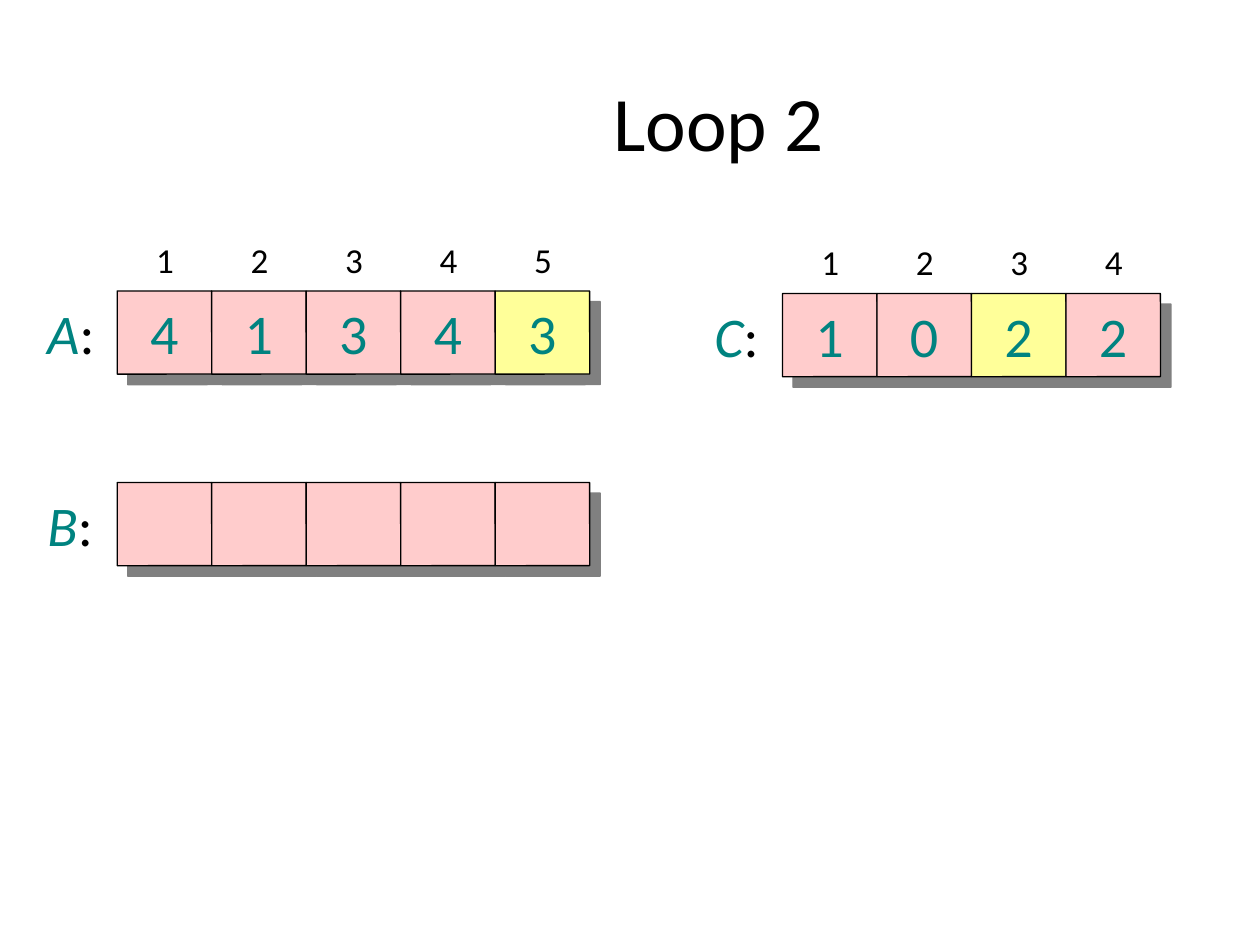
from lxml import etree
from pptx import Presentation
from pptx.dml.color import RGBColor
from pptx.enum import shapes, text
from pptx.oxml import ns
from pptx.util import Inches, Pt

BLACK = RGBColor(0, 0, 0)
TEAL = RGBColor(0x00, 0x83, 0x80)
PINK = RGBColor(0xFF, 0xCC, 0xCC)
YELLOW = RGBColor(0xFF, 0xFF, 0x99)
GREY = "808080"
FONT = "Calibri"
CELL_W, CELL_H = 0.75, 0.66
CENTER = text.PP_ALIGN.CENTER
MIDDLE = text.MSO_ANCHOR.MIDDLE


def style(run, size, color, italic=False):
    run.font.name = FONT
    run.font.size = Pt(size)
    run.font.color.rgb = color
    run.font.italic = italic


def add_text(parent, x, y, w, h, parts, size, align=CENTER,
             anchor=text.MSO_ANCHOR.TOP):
    """Add a one-line box; parts holds (words, colour, italic)."""
    box = parent.shapes.add_textbox(Inches(x), Inches(y), Inches(w), Inches(h))
    frame = box.text_frame
    frame.word_wrap = False
    frame.auto_size = text.MSO_AUTO_SIZE.SHAPE_TO_FIT_TEXT
    frame.vertical_anchor = anchor
    para = frame.paragraphs[0]
    para.alignment = align
    for words, color, italic in parts:
        run = para.add_run()
        run.text = words
        style(run, size, color, italic)


def add_shadow(shape):
    shape.shadow.inherit = False
    effects = shape.element.spPr.find(ns.qn("a:effectLst"))
    outer = etree.SubElement(effects, ns.qn("a:outerShdw"), blurRad="0",
                             dist=str(Pt(8.5)), dir=str(45 * 60000),
                             algn="ctr", rotWithShape="0")
    etree.SubElement(outer, ns.qn("a:srgbClr"), val=GREY)


def add_cell(slide, x, y, value, fill):
    """Add a cell; one with a value is a group of square and text."""
    parent = slide.shapes.add_group_shape() if value else slide
    cell = parent.shapes.add_shape(shapes.MSO_SHAPE.ROUNDED_RECTANGLE,
                                   Inches(x), Inches(y),
                                   Inches(CELL_W), Inches(CELL_H))
    cell.adjustments[0] = 0.003
    cell.fill.solid()
    cell.fill.fore_color.rgb = fill
    cell.line.color.rgb = BLACK
    cell.line.width = Pt(0.74)
    add_shadow(cell)
    if value:
        add_text(parent, x, y, CELL_W, CELL_H, [(value, TEAL, False)], 32,
                 anchor=MIDDLE)


def add_array(slide, name, width, x, y, values, mark=None, index=True):
    """Add a named row of cells, one of them marked, with indices above."""
    add_text(slide, x - 0.4 - width / 2, y + 0.01, width, 0.64,
             [(name, TEAL, True), (":", BLACK, False)], 32,
             text.PP_ALIGN.RIGHT)
    for i, value in enumerate(values):
        add_cell(slide, x + i * CELL_W, y, value,
                 YELLOW if i == mark else PINK)
    if index:
        for i in range(len(values)):
            add_text(slide, x + i * CELL_W + 0.21, y - 0.47, 0.34, 0.44,
                     [(str(i + 1), BLACK, False)], 20)


def set_title(slide, words):
    title = slide.shapes.title
    title.left, title.top = Inches(1.58), Inches(0.33)
    title.width, title.height = Inches(8.25), Inches(1.25)
    frame = title.text_frame
    frame.text = words
    frame.vertical_anchor = MIDDLE
    frame.paragraphs[0].alignment = CENTER
    style(frame.paragraphs[0].runs[0], 44, BLACK)


def main():
    deck = Presentation()
    deck.slide_width, deck.slide_height = Inches(10), Inches(7.5)
    slide = deck.slides.add_slide(deck.slide_layouts[5])
    set_title(slide, "Loop 2")

    # Input, output and count arrays
    add_array(slide, "A", 0.64, 0.93, 2.31, "41343", mark=4)
    add_array(slide, "B", 0.61, 0.93, 3.83, [""] * 5, index=False)
    add_array(slide, "C", 0.62, 6.21, 2.33, "1022", mark=2)
    deck.save("out.pptx")


main()
